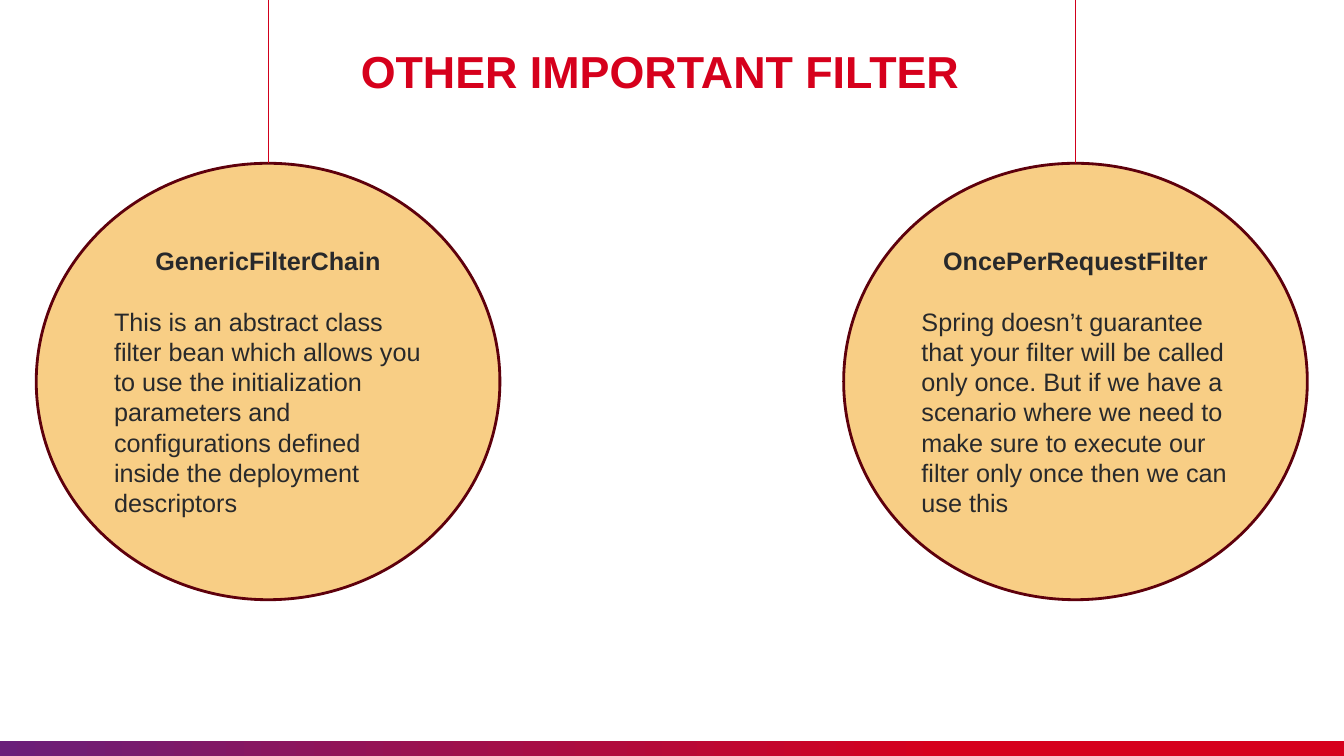
from pptx import Presentation
from pptx.dml.color import RGBColor
from pptx.enum import shapes, text
from pptx.util import Pt
from lxml import etree

WIDTH, HEIGHT = 960, 540
FONT = "Arial"
FILTERS = [
    (25.92, "GenericFilterChain",
     "This is an abstract class filter bean which allows you to use the "
     "initialization parameters and configurations defined inside the "
     "deployment descriptors"),
    (602.64, "OncePerRequestFilter",
     "Spring doesn’t guarantee that your filter will be called only once. "
     "But if we have a scenario where we need to make sure to execute our "
     "filter only once then we can use this"),
]


def color(value):
    return RGBColor.from_string(value)


def style_paragraph(para, size, hue, bold, align):
    para.alignment = align
    para.font.name = FONT
    para.font.size = Pt(size)
    para.font.bold = bold
    para.font.color.rgb = color(hue)


def add_footer_band(page, left, top, width, height):
    band = page.shapes.add_shape(shapes.MSO_SHAPE.RECTANGLE,
                                 Pt(left), Pt(top), Pt(width), Pt(height))
    band.shadow.inherit = False
    band.line.fill.background()
    band.fill.gradient()
    band.fill.gradient_angle = 0
    stops = [(0, "6A1F7A"), (0.7, "D6001C")]
    for stop, (position, hue) in zip(band.fill.gradient_stops, stops):
        stop.position = position
        stop.color.rgb = color(hue)


def add_title(page, wording, left, top, width, height):
    box = page.shapes.add_textbox(Pt(left), Pt(top), Pt(width), Pt(height))
    frame = box.text_frame
    frame.word_wrap = True
    frame.vertical_anchor = text.MSO_ANCHOR.MIDDLE
    para = frame.paragraphs[0]
    para.text = wording
    para.line_spacing = 0.9
    style_paragraph(para, 32, "D6001C", True, text.PP_ALIGN.CENTER)


def add_hanging_filter(page, name, description, left, top, width, height):
    """Draw a circle of text and the line it hangs from at the slide's top."""
    circle = page.shapes.add_shape(shapes.MSO_SHAPE.OVAL,
                                   Pt(left), Pt(top), Pt(width), Pt(height))
    circle.shadow.inherit = False
    circle.fill.solid()
    circle.fill.fore_color.rgb = color("F8CE85")
    circle.line.color.rgb = color("5E000C")
    circle.line.width = Pt(2)

    frame = circle.text_frame
    frame.word_wrap = True
    frame.vertical_anchor = text.MSO_ANCHOR.MIDDLE
    heading = frame.paragraphs[0]
    heading.text = name
    style_paragraph(heading, 18, "28292B", True, text.PP_ALIGN.CENTER)
    body = frame.add_paragraph()
    body.text = description
    body.space_before = Pt(21.6)
    style_paragraph(body, 18, "28292B", False, text.PP_ALIGN.LEFT)

    middle = Pt(left + width / 2)
    cord = page.shapes.add_connector(shapes.MSO_CONNECTOR.STRAIGHT,
                                     middle, 0, middle, Pt(top))
    cord.end_connect(circle, 0)
    cord.line.color.rgb = color("D1001B")
    cord.line.width = Pt(0.75)
    properties = cord.line._get_or_add_ln().getparent()
    namespace = etree.QName(properties[0]).namespace
    etree.SubElement(properties, f"{{{namespace}}}effectLst")


def main():
    deck = Presentation()
    deck.slide_width, deck.slide_height = Pt(WIDTH), Pt(HEIGHT)
    page = deck.slides.add_slide(deck.slide_layouts[6])
    add_footer_band(page, 0, 529.2, WIDTH, 12)
    add_title(page, "OTHER IMPORTANT FILTER", 66.24, 31.68, 810.72, 42.48)
    for left, name, description in FILTERS:
        add_hanging_filter(page, name, description, left, 116.64, 331.2, 311.76)
    deck.save("out.pptx")


if __name__ == "__main__":
    main()
